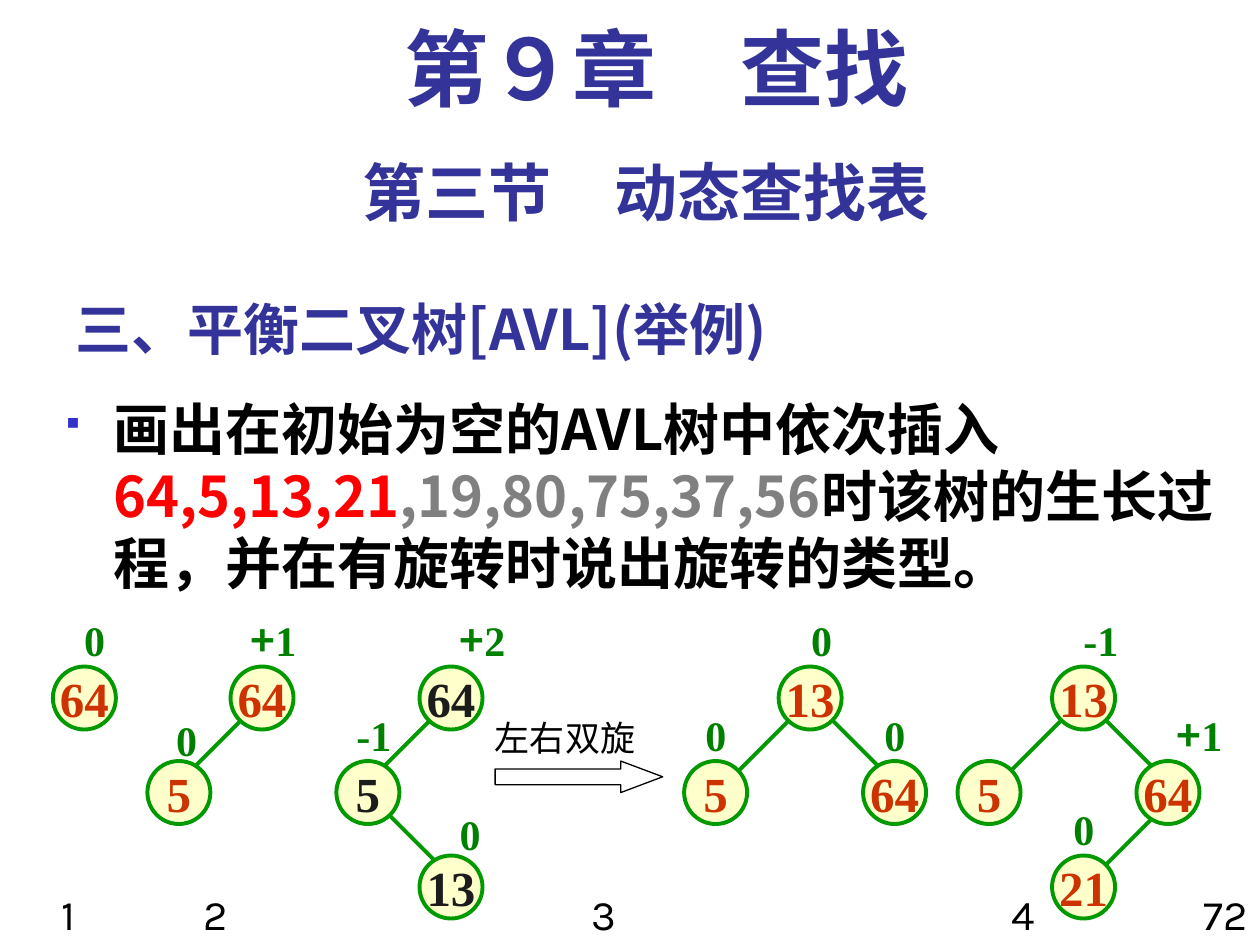
from lxml import etree
from pptx import Presentation
from pptx.dml.color import RGBColor
from pptx.enum.shapes import MSO_CONNECTOR, MSO_SHAPE
from pptx.enum.text import MSO_ANCHOR, MSO_AUTO_SIZE, PP_ALIGN
from pptx.oxml.ns import qn
from pptx.util import Inches, Pt

LEFT, CENTER, RIGHT = PP_ALIGN.LEFT, PP_ALIGN.CENTER, PP_ALIGN.RIGHT
TOP, MIDDLE, BOTTOM = MSO_ANCHOR.TOP, MSO_ANCHOR.MIDDLE, MSO_ANCHOR.BOTTOM
GROW = MSO_AUTO_SIZE.SHAPE_TO_FIT_TEXT
OVAL, RIGHT_ARROW = MSO_SHAPE.OVAL, MSO_SHAPE.RIGHT_ARROW
STRAIGHT = MSO_CONNECTOR.STRAIGHT

COLORS = {
    "heading": "333399", "black": "000000", "red": "FF0000", "gray": "808080",
    "bullet": "3333CC", "node": "FFFFCC", "edge": "009900", "balance": "008000",
    "key": "CC3300", "unbalanced": "1C1C1C",
}
SANS, SERIF, NUMBER = "Noto Sans CJK SC", "Times New Roman", "Karla"


def color(name):
    return RGBColor.from_string(COLORS[name])


def write(shape, runs, size, font=SERIF, bold=True, align=LEFT, anchor=TOP,
          wrap=True, grow=False):
    """Fill a shape with one paragraph of (text, colour[, font]) runs."""
    frame = shape.text_frame
    frame.word_wrap = wrap
    frame.vertical_anchor = anchor
    if grow:
        frame.auto_size = GROW
    paragraph = frame.paragraphs[0]
    paragraph.alignment = align
    for text, color_name, *own_font in runs:
        run = paragraph.add_run()
        run.text = text
        formats = {"size": Pt(size), "bold": bold, "name": (own_font or [font])[0]}
        for attribute, value in formats.items():
            setattr(run.font, attribute, value)
        run.font.color.rgb = color(color_name)
        east_asian = etree.SubElement(run.font._element, qn("a:ea"))
        east_asian.set("typeface", SANS)
    return paragraph


presentation = Presentation()
presentation.slide_width = Inches(10)
presentation.slide_height = Inches(7.5)
slide = presentation.slides.add_slide(presentation.slide_layouts[6])

# Headings: text, box, format
headings = [
    ("第９章　查找", (0.67, 0.17, 9.08, 0.83),
     {"size": 48, "align": CENTER}),
    ("第三节　动态查找表", (0.5, 1.17, 9.25, 0.7),
     {"size": 36, "font": NUMBER, "align": CENTER, "grow": True}),
    ("三、平衡二叉树[AVL](举例)", (0.5, 2.17, 7.75, 0.75),
     {"size": 32, "font": SANS, "anchor": BOTTOM}),
]
for text, box, formats in headings:
    heading = slide.shapes.add_textbox(*map(Inches, box))
    paragraph = write(heading, [(text, "heading")], **formats)
    if formats["size"] == 48:
        paragraph.line_spacing = 0.9

# Exercise
exercise = slide.shapes.add_textbox(*map(Inches, (0.42, 3.08, 9.58, 4.42)))
paragraph = write(exercise, [
    ("画出在初始为空的AVL树中依次插入", "black"),
    ("64,5,13,21", "red"),
    (",19,80,75,37,56", "gray"),
    ("时该树的生长过程，并在有旋转时说出旋转的类型。", "black"),
], 32, SANS)
properties = paragraph._p.get_or_add_pPr()
properties.set("marL", str(Inches(0.38)))
properties.set("indent", str(-Inches(0.38)))
bullet_color = etree.SubElement(properties, qn("a:buClr"))
etree.SubElement(bullet_color, qn("a:srgbClr")).set("val", COLORS["bullet"])
etree.SubElement(properties, qn("a:buSzPct")).set("val", "60000")
etree.SubElement(properties, qn("a:buFont")).set("typeface", "Wingdings")
# In Wingdings this character is a small square
etree.SubElement(properties, qn("a:buChar")).set("char", "§")

# Trees, one group per insertion step
DIAMETER = 0.5
LEVELS = [5.29, 6.04, 6.79]  # tops of the node rows
EDGE_DROP = 0.42             # edge height
EDGE_SPAN = 0.42             # edge width
# nodes: key, left, level, colour
# edges: start x, level of the parent, direction (-1 left, 1 right)
# balances: factor, left, top
steps = [
    {"nodes": [("64", 0.42, 0, "key")],
     "edges": [],
     "balances": [("0", 0.57, 4.83)]},
    {"nodes": [("64", 1.83, 0, "key"), ("5", 1.17, 1, "key")],
     "edges": [(1.92, 0, -1)],
     "balances": [("+1", 1.89, 4.83), ("0", 1.3, 5.62)]},
    {"nodes": [("64", 3.33, 0, "unbalanced"), ("5", 2.67, 1, "unbalanced"),
               ("13", 3.33, 2, "unbalanced"), ("13", 6.18, 0, "key"),
               ("5", 5.43, 1, "key"), ("64", 6.85, 1, "key")],
     "edges": [(3.42, 0, -1), (3.08, 1, 1), (6.27, 0, -1), (6.6, 0, 1)],
     "balances": [("+2", 3.55, 4.83), ("-1", 2.73, 5.58), ("0", 3.55, 6.37),
                  ("0", 6.34, 4.83), ("0", 5.5, 5.58), ("0", 6.92, 5.58)]},
    {"nodes": [("13", 8.35, 0, "key"), ("5", 7.6, 1, "key"),
               ("64", 9.02, 1, "key"), ("21", 8.35, 2, "key")],
     "edges": [(8.43, 0, -1), (8.77, 0, 1), (9.18, 1, -1)],
     "balances": [("-1", 8.5, 4.83), ("+1", 9.24, 5.58), ("0", 8.42, 6.33)]},
]
balance_widths = {"0": 0.36, "-1": 0.48, "+1": 0.6, "+2": 0.6}

groups = []
for step in steps:
    group = slide.shapes.add_group_shape()
    groups.append(group)
    for x, level, direction in step["edges"]:
        y = LEVELS[level] + 0.42
        ends = (x, y, x + direction * EDGE_SPAN, y + EDGE_DROP)
        edge = group.shapes.add_connector(STRAIGHT, *map(Inches, ends))
        edge.line.color.rgb = color("edge")
        edge.line.width = Pt(2.25)
        etree.SubElement(edge._element.spPr, qn("a:effectLst"))
    for key, left, level, key_color in step["nodes"]:
        box = (left, LEVELS[level], DIAMETER, DIAMETER)
        node = group.shapes.add_shape(OVAL, *map(Inches, box))
        node.shadow.inherit = False
        node.fill.solid()
        node.fill.fore_color.rgb = color("node")
        node.line.color.rgb = color("edge")
        node.line.width = Pt(2.25)
        write(node, [(key, key_color)], 28, align=CENTER, anchor=MIDDLE, wrap=False)
    for factor, left, top in step["balances"]:
        box = (left, top, balance_widths[factor], 0.5)
        balance = group.shapes.add_textbox(*map(Inches, box))
        if factor.startswith("+"):
            runs = [("+", "balance", SANS), (factor[1:], "balance")]
        else:
            runs = [(factor, "balance")]
        write(balance, runs, 24, wrap=False, grow=True)

# Double rotation in the third step
rotation = groups[2].shapes
arrow = rotation.add_shape(RIGHT_ARROW, *map(Inches, (3.93, 6.04, 1.33, 0.25)))
arrow.adjustments[1] = 1.33
arrow.shadow.inherit = False
arrow.fill.background()
arrow.line.color.rgb = color("black")
arrow.line.width = Pt(0.75)
rotation_name = rotation.add_textbox(*map(Inches, (3.83, 5.64, 1.31, 0.44)))
write(rotation_name, [("左右双旋", "black")], 20, bold=False, wrap=False, grow=True)

# Step numbers and page number
numbers = [("1", 0.25, 0.58, CENTER), ("2", 1.42, 0.58, CENTER),
           ("3", 4.5, 0.58, CENTER), ("4", 7.83, 0.58, CENTER),
           ("72", 9.33, 0.67, RIGHT)]
for text, left, width, align in numbers:
    number = slide.shapes.add_textbox(*map(Inches, (left, 7, width, 0.5)))
    write(number, [(text, "black")], 24, NUMBER, bold=False, align=align, grow=True)

presentation.save("out.pptx")
